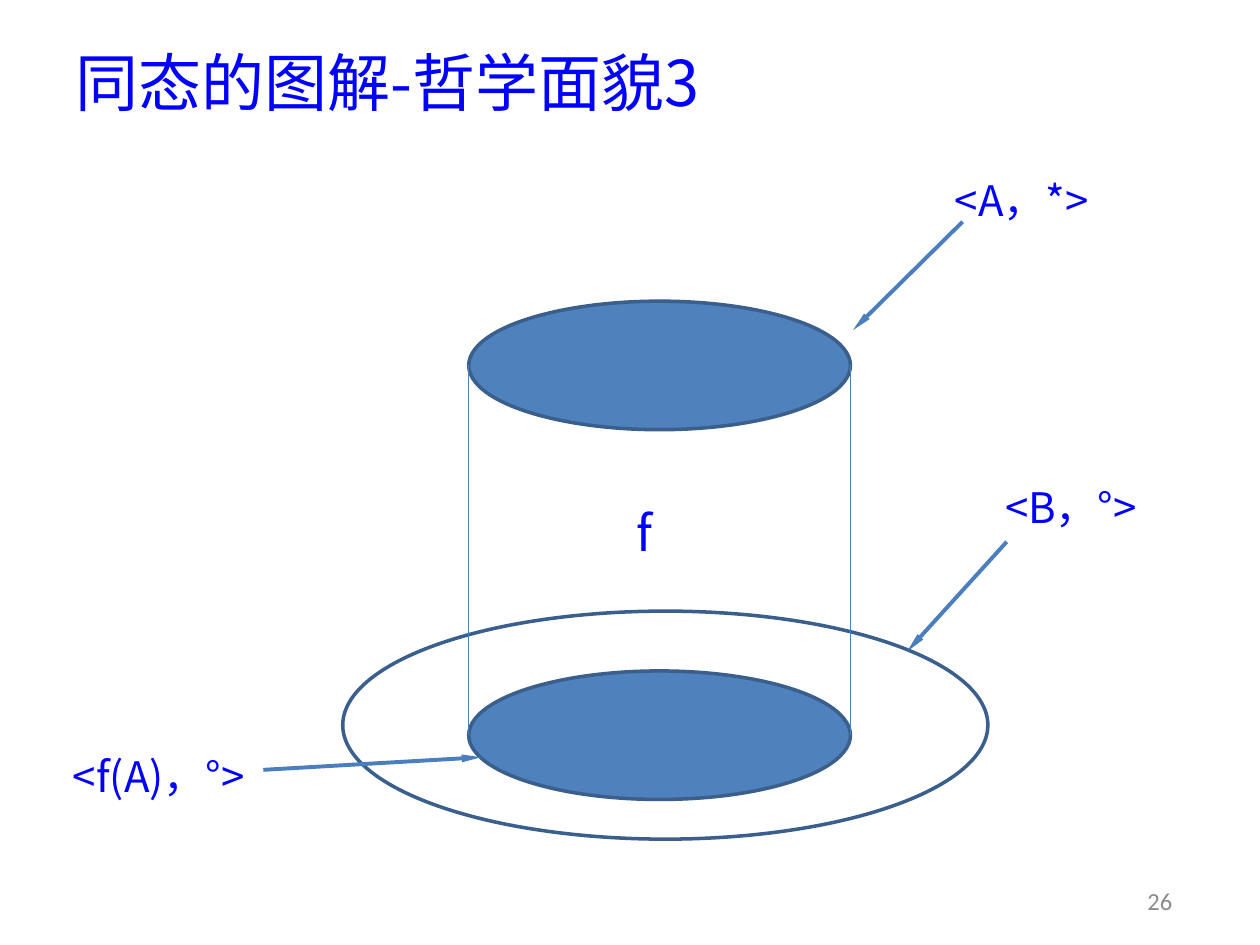
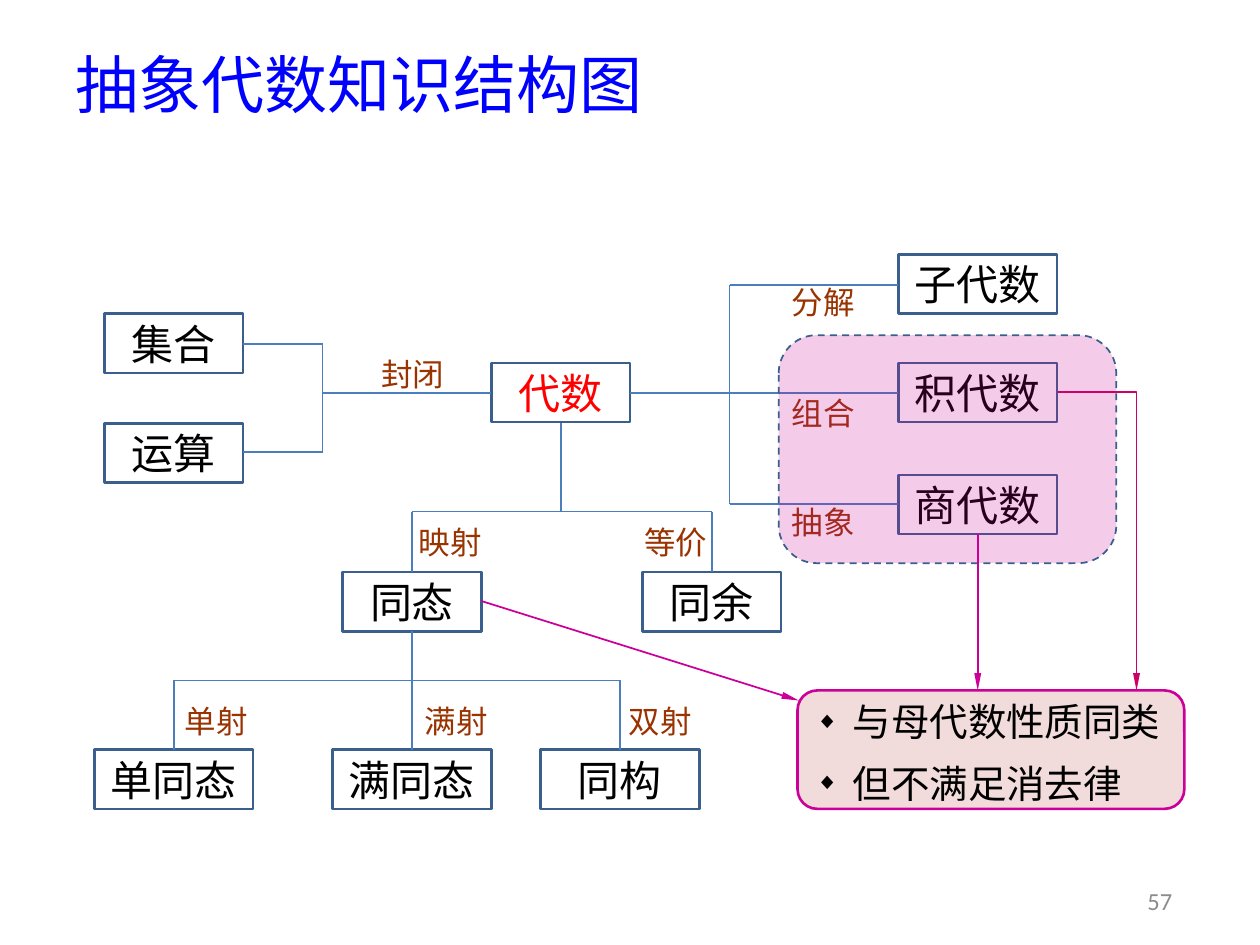
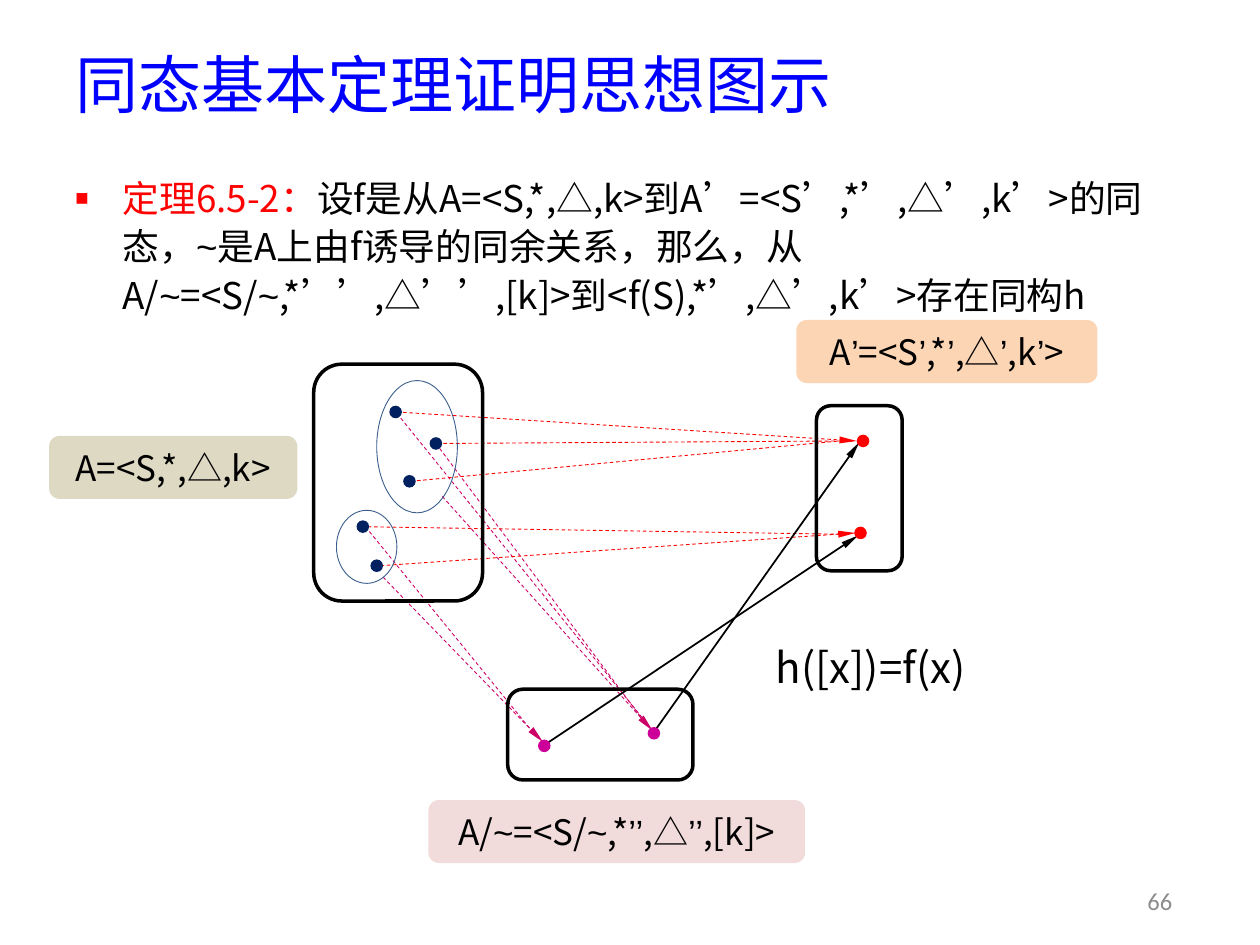
from itertools import groupby

from lxml.etree import SubElement
from pptx import Presentation
from pptx.dml.color import RGBColor
from pptx.enum.dml import MSO_LINE
from pptx.enum.shapes import MSO_CONNECTOR, MSO_SHAPE
from pptx.enum.text import MSO_ANCHOR, PP_ALIGN
from pptx.oxml.ns import qn
from pptx.util import Inches, Pt

WIDTH, HEIGHT = Inches(10), Inches(7.5)
COLUMNS, ROWS = 100, 75
COLORS = {
    "title": "0000FF", "ink": "000000", "red": "FF0000", "gray": "8C8C8C",
    "blue": "4F81BD", "edge": "3A5F8C", "wire": "4B7EBC", "brown": "993300",
    "magenta": "CC0099", "crimson": "CC0066", "rose": "F2DCDB",
    "navy": "002060", "sand": "DDD9C3", "peach": "FCD5B5",
}
CJK, LATIN, DIGITS = "Noto Sans CJK SC", "Arial", "Calibri"
OVAL, ROUND, RECT = MSO_SHAPE.OVAL, MSO_SHAPE.ROUNDED_RECTANGLE, MSO_SHAPE.RECTANGLE


def col(count):
    return round(WIDTH * count / COLUMNS)


def row(count):
    return round(HEIGHT * count / ROWS)


def place(area):
    left, top, width, height = area
    return col(left), row(top), col(width), row(height)


def rgb(name):
    return RGBColor.from_string(COLORS[name])


def add_span(para, text, size, color, font=CJK, east=None):
    span = para.add_run()
    span.text = text
    span.font.size = Pt(size)
    span.font.color.rgb = rgb(color)
    span.font.name = font
    SubElement(span.font._element, qn("a:ea")).set("typeface", east or font)


def add_formula(para, text, size, color, east=None):
    for is_mark, letters in groupby(text, lambda letter: letter in "’~"):
        add_span(para, "".join(letters), size, color, LATIN if is_mark else CJK, east)


def set_bullet(para, symbol, color, indent):
    properties = para._p.get_or_add_pPr()
    properties.set("marL", str(col(indent)))
    properties.set("indent", str(-col(indent)))
    properties.set("hangingPunct", "0")
    tint = SubElement(properties, qn("a:buClr"))
    SubElement(tint, qn("a:srgbClr")).set("val", COLORS[color])
    SubElement(properties, qn("a:buSzPct")).set("val", "60000")
    SubElement(properties, qn("a:buFont")).set("typeface", LATIN)
    SubElement(properties, qn("a:buChar")).set("char", symbol)
    para.line_spacing = 1.1


def prepare_frame(shape, inset=0, anchor=MSO_ANCHOR.MIDDLE):
    frame = shape.text_frame
    frame.word_wrap = True
    frame.vertical_anchor = anchor
    frame.margin_left = frame.margin_right = col(inset)
    frame.margin_top = frame.margin_bottom = row(inset / 2)
    return frame


def add_label(page, area, text, size=24, color="title", font=CJK):
    frame = prepare_frame(page.shapes.add_textbox(*place(area)))
    para = frame.paragraphs[0]
    para.alignment = PP_ALIGN.CENTER
    add_span(para, text, size, color, font)


def set_line(shape, color, weight, dashed=False, arrow=False):
    shape.line.color.rgb = rgb(color)
    shape.line.width = Pt(weight)
    if dashed:
        shape.line.dash_style = MSO_LINE.DASH
    if arrow:
        tail = SubElement(shape.element.spPr.find(qn("a:ln")), qn("a:tailEnd"))
        for key, value in (("type", "triangle"), ("w", "sm"), ("len", "lg")):
            tail.set(key, value)


def add_figure(page, kind, area, fill=None, line=None, weight=2, dashed=False):
    shape = page.shapes.add_shape(kind, *place(area))
    shape.shadow.inherit = False
    if fill:
        shape.fill.solid()
        shape.fill.fore_color.rgb = rgb(fill)
    else:
        shape.fill.background()
    if line:
        set_line(shape, line, weight, dashed)
    else:
        shape.line.fill.background()
    return shape


def add_tag(page, kind, area, text, size=24, color="ink", **look):
    box = add_figure(page, kind, area, **look)
    para = prepare_frame(box).paragraphs[0]
    para.alignment = PP_ALIGN.CENTER
    add_formula(para, text, size, color)


def add_wire(page, start, end, color="wire", weight=1, dashed=False, arrow=False):
    wire = page.shapes.add_connector(
        MSO_CONNECTOR.STRAIGHT, col(start[0]), row(start[1]), col(end[0]), row(end[1]))
    set_line(wire, color, weight, dashed, arrow)
    SubElement(wire.element.spPr, qn("a:effectLst"))


def add_fork(page, trunk, bar, tip, branches, upright=False):
    def point(along, across):
        return (across, along) if upright else (along, across)

    start, middle = trunk
    add_wire(page, point(start, middle), point(bar, middle))
    add_wire(page, point(bar, min(branches)), point(bar, max(branches)))
    for branch in branches:
        add_wire(page, point(bar, branch), point(tip, branch))


def add_dot(page, center, color):
    add_figure(page, OVAL, (center[0] - 0.5, center[1] - 0.5, 1, 1), fill=color)


def start_page(deck, title, number, title_top=3.15):
    page = deck.slides.add_slide(deck.slide_layouts[6])
    area = (5, title_top, 90, 6.9)
    frame = prepare_frame(page.shapes.add_textbox(*place(area)), inset=1)
    add_span(frame.paragraphs[0], title, 36, "title")
    add_label(page, (89.1, 69.5, 5.9, 4), number, 14, "gray", DIGITS)
    return page


def build_projection(deck):
    page = start_page(deck, "同态的图解-哲学面貌3", "26", title_top=3)
    left, right, upper, lower = 37.2, 67.5, 23.9, 53.25
    disc_height = 10.2
    add_figure(page, OVAL, (left, upper, right - left, disc_height), "blue", "edge")
    add_figure(page, OVAL, (27.2, 48.5, 51.2, 18.1), line="edge")
    add_figure(page, OVAL, (left, lower, right - left, disc_height), "blue", "edge")
    for side in (left, right):
        add_wire(page, (side, upper + disc_height / 2), (side, lower + disc_height / 2),
                 weight=0.75)
    for area, text in (((2, 58.8, 21.2, 5.5), "<f(A)，°>"),
                       ((68.1, 13.1, 26, 5.5), "<A，*>"),
                       ((72, 37.5, 26, 5.5), "<B，°>")):
        add_label(page, area, text)
    for start, end in (((76.4, 17.6), (67.7, 26.2)),
                       ((20.9, 61.1), (38.2, 60.1)),
                       ((79.9, 43), (72, 51.7))):
        add_wire(page, start, end, weight=2.25, arrow=True)
    add_label(page, (44.5, 39.9, 13.3, 4.7), "f", 28)


def add_remarks(page):
    box = add_figure(page, ROUND, (63.3, 54.8, 30.7, 9.4), "rose", "magenta", 1.5)
    frame = prepare_frame(box, inset=1)
    for index, text in enumerate(("与母代数性质同类", "但不满足消去律")):
        para = frame.add_paragraph() if index else frame.paragraphs[0]
        set_bullet(para, "◆", "ink", 2.95)
        para.alignment = PP_ALIGN.LEFT
        if index:
            para.space_before = Pt(6)
        add_span(para, text, 22, "ink")


def add_elbow(page, start, corner, end):
    builder = page.shapes.build_freeform(col(start[0]), row(start[1]))
    builder.add_line_segments([(col(x), row(y)) for x, y in (corner, end)], close=False)
    elbow = builder.convert_to_shape()
    elbow.shadow.inherit = False
    elbow.fill.background()
    set_line(elbow, "crimson", 1, arrow=True)


def build_structure(deck):
    page = start_page(deck, "抽象代数知识结构图", "57")
    narrow, wide, tall = 11, 12.6, 4.7
    nodes = (
        (8.3, 24.9, narrow, "集合"), (8.3, 33.6, narrow, "运算"),
        (39, 28.8, narrow, "代数"), (71.3, 20.2, wide, "子代数"),
        (71.3, 28.8, wide, "积代数"), (71.3, 37.7, wide, "商代数"),
        (27.2, 45.4, narrow, "同态"), (51, 45.4, narrow, "同余"),
        (7.5, 59.5, wide, "单同态"), (26.4, 59.5, wide, "满同态"),
        (42.9, 59.5, wide, "同构"),
    )
    for left, top, width, text in nodes:
        add_tag(page, RECT, (left, top, width, tall), text,
                color="red" if text == "代数" else "ink", line="edge", weight=1.5)
    add_fork(page, (39, 31.2), 25.6, 19.3, (27.3, 35.9))
    add_fork(page, (50, 31.2), 57.9, 71.3, (22.6, 31.2, 40))
    add_fork(page, (33.6, 44.5), 40.6, 45.4, (32.7, 56.5), upright=True)
    add_fork(page, (50.1, 32.7), 54, 59.5, (13.8, 32.7, 49.2), upright=True)
    relations = (
        (28.4, 27.3, "封闭"), (61, 21.6, "分解"), (61, 30.4, "组合"),
        (61, 39.1, "抽象"), (31.4, 40.65, "映射"), (49.3, 40.65, "等价"),
        (12.8, 54.85, "单射"), (31.85, 54.85, "满射"), (48.05, 54.85, "双射"),
    )
    for left, top, text in relations:
        add_label(page, (left, top, 8.7, tall), text, 18, "brown")
    group = add_figure(page, ROUND, (61.8, 26.6, 26.8, 18.1), "magenta", "edge", 1, True)
    tint = group.element.spPr.find(qn("a:solidFill")).find(qn("a:srgbClr"))
    SubElement(tint, qn("a:alpha")).set("val", "20000")
    add_remarks(page)
    add_wire(page, (77.6, 42.4), (77.6, 54.8), "magenta", arrow=True)
    add_wire(page, (38.2, 47.7), (63.4, 55.6), "magenta", arrow=True)
    add_elbow(page, (84, 31.1), (90.2, 31.1), (90.2, 54.8))


def add_theorem(page):
    box = page.shapes.add_textbox(*place((5, 13.1, 90, 13.1)))
    para = prepare_frame(box, 1, MSO_ANCHOR.TOP).paragraphs[0]
    set_bullet(para, "■", "red", 3.75)
    add_span(para, "定理6.5-2：", 21, "red")
    add_formula(para, "设f是从A=<S,*,△,k>到A’=<S’,*’,△’,k’>的同态，~是A上由f诱导的"
                "同余关系，那么，从A/~=<S/~,*’’,△’’,[k]>到<f(S),*’,△’,k’>存在同构h",
                21, "ink", CJK)


def build_theorem(deck):
    page = start_page(deck, "同态基本定理证明思想图示", "66")
    dashed = {
        "crimson": (((30.4, 45.8), (43.1, 58.9), True), ((35.1, 39.4), (51.8, 58), True),
                    ((31.5, 32.8), (51, 57), False), ((34.6, 35.2), (51, 57.1), False),
                    ((29, 41.8), (42.2, 58), False)),
        "red": (((31.5, 32.7), (68, 35), True), ((34.7, 35.2), (66.6, 35), False),
                ((32.6, 38.2), (66.6, 35), False), ((28.7, 41.8), (66.6, 42.4), False),
                ((30.2, 44.9), (67.9, 42.3), True)),
    }
    for color, wires in dashed.items():
        for start, end, arrow in wires:
            add_wire(page, start, end, color, 0.5, True, arrow)
    for start, end in (((51.9, 58.1), (68.2, 35.1)), ((43.4, 59), (68.1, 42.5))):
        add_wire(page, start, end, "ink", arrow=True)
    add_theorem(page)
    dots = {
        "navy": ((34.6, 35.2), (32.5, 38.2), (28.8, 41.8), (31.4, 32.7), (29.9, 44.9)),
        "red": ((68.5, 35), (68.3, 42.3)),
        "magenta": ((43.2, 59.2), (51.9, 58.2)),
    }
    for color, centers in dots.items():
        for center in centers:
            add_dot(page, center, color)
    for area in ((29.9, 30.2, 6.4, 10.5), (26.7, 40.5, 4.8, 5.8)):
        add_figure(page, OVAL, area, line="edge", weight=0.5)
    for area in ((64.8, 32.2, 6.8, 13.1), (24.9, 28.9, 13.4, 18.8), (40.3, 54.7, 14.7, 7.2)):
        add_figure(page, ROUND, area, line="ink")
    add_tag(page, ROUND, (58.2, 49.8, 21.8, 6.3), "h([x])=f(x)")
    for left, top, width, text, fill in (
            (3.9, 34.6, 19.7, "A=<S,*,△,k>", "sand"),
            (63.2, 25.4, 23.9, "A’=<S’,*’,△’,k’>", "peach"),
            (34, 63.5, 29.9, "A/~=<S/~,*’’,△’’,[k]>", "rose")):
        add_tag(page, ROUND, (left, top, width, 5), text, 20, fill=fill)


def main():
    deck = Presentation()
    deck.slide_width, deck.slide_height = WIDTH, HEIGHT
    build_projection(deck)
    build_structure(deck)
    build_theorem(deck)
    deck.save("out.pptx")


if __name__ == "__main__":
    main()
